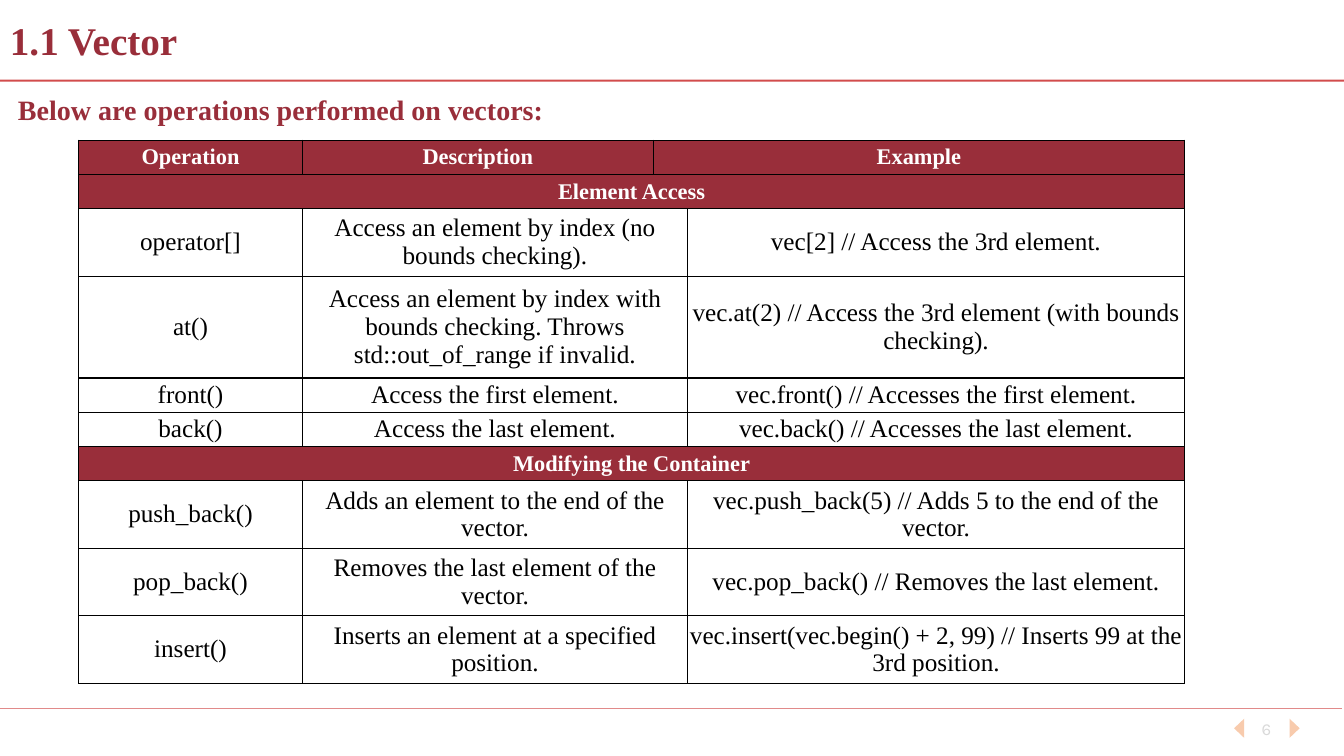
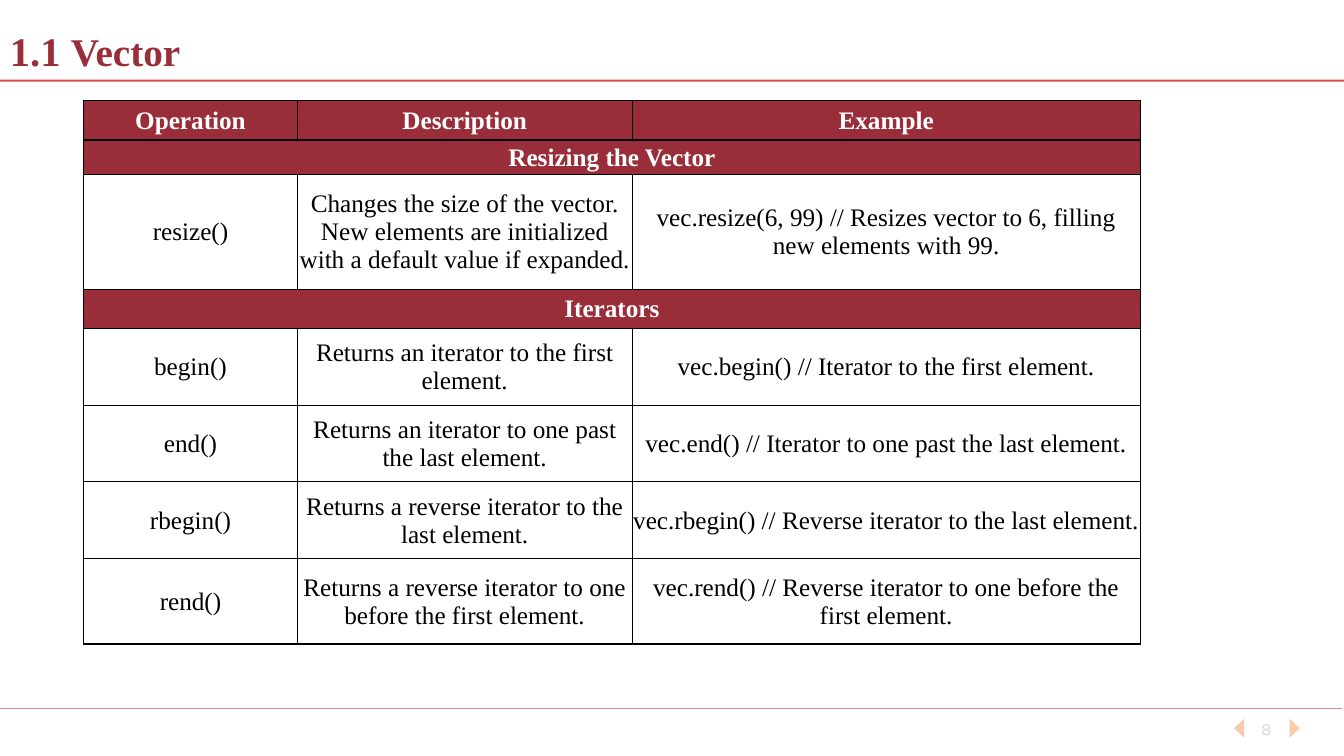
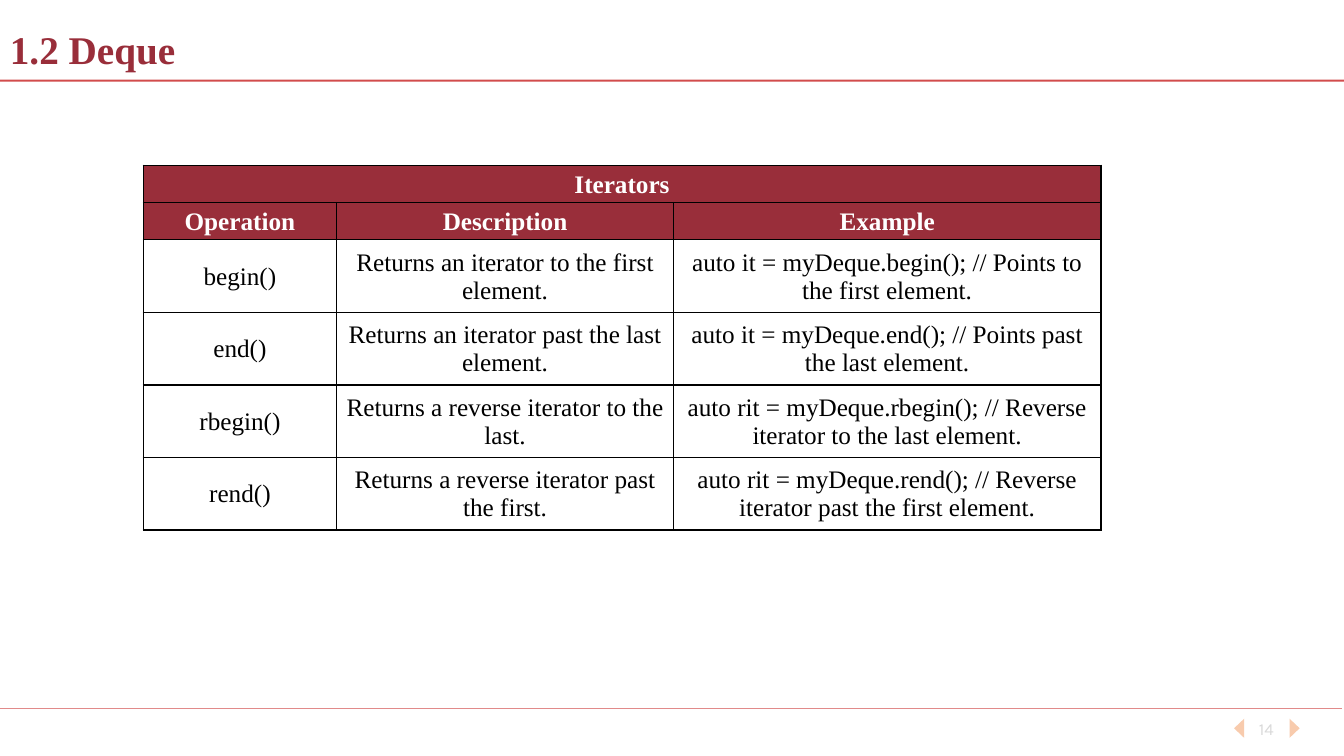
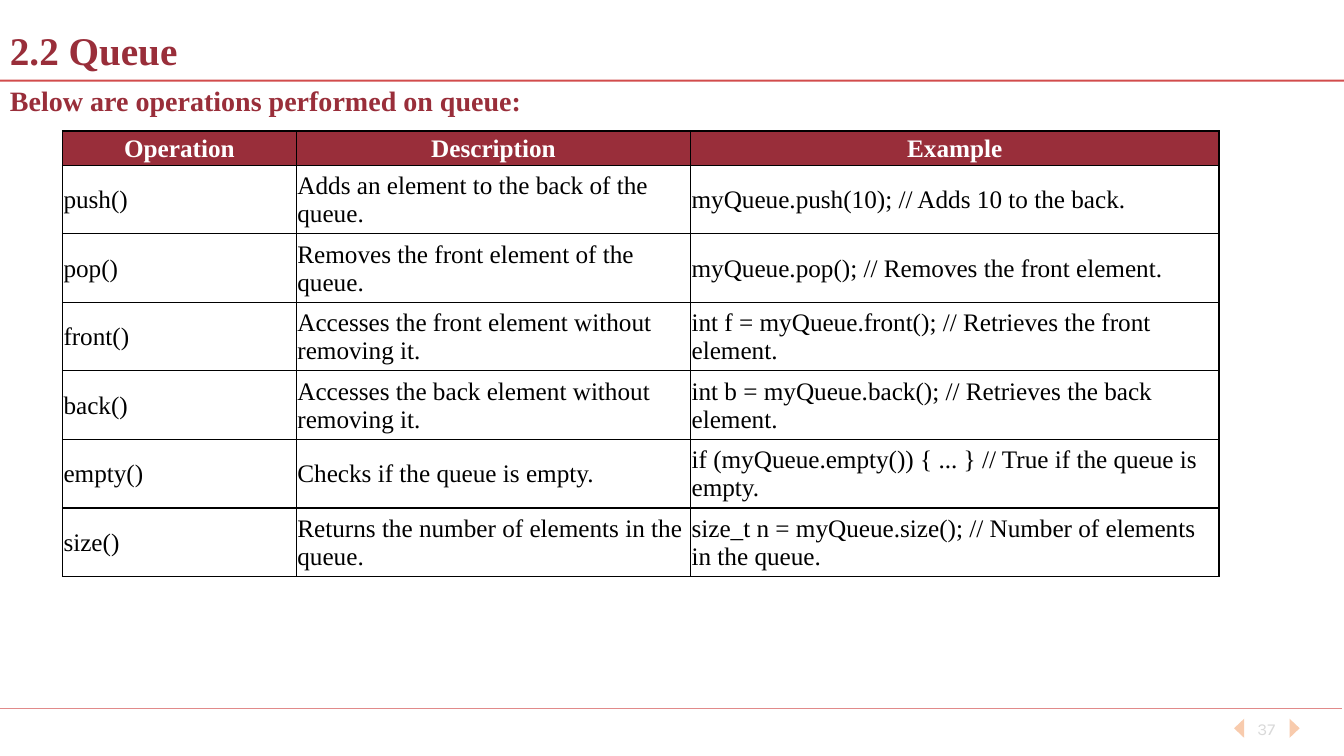
from lxml import etree
from pptx import Presentation
from pptx.dml.color import RGBColor
from pptx.enum.shapes import MSO_CONNECTOR
from pptx.enum.text import MSO_ANCHOR as ANCHOR, PP_ALIGN as ALIGN
from pptx.oxml import parse_xml
from pptx.oxml.ns import nsdecls, qn
from pptx.util import Inches, Pt

# Shared style
RED, RULE, ARROW, GREY = "992E3A", "C00000", "F8CBAD", "D9D9D9"
WHITE, BLACK = "FFFFFF", "000000"
SERIF, SANS = "Times New Roman", "Karla"
HEADINGS = ("Operation", "Description", "Example")
HEAD, BODY = "head", "body"


def rgb(value):
    return RGBColor.from_string(value)


def style(p, size, color, bold=False, name=SERIF, align=ALIGN.LEFT):
    p.alignment = align
    p.font.size, p.font.bold, p.font.name = Pt(size), bold, name
    p.font.color.rgb = rgb(color)


def add_text(s, box, text, size, color, anchor=ANCHOR.MIDDLE, **look):
    tf = s.shapes.add_textbox(*map(Inches, box)).text_frame
    tf.word_wrap, tf.vertical_anchor = True, anchor
    p = tf.paragraphs[0]
    if text:
        p.add_run().text = text
    style(p, size, color, **look)
    return p


# Frame: rules, arrows, page number
def add_rule(s, y, width, weight):
    line = s.shapes.add_connector(MSO_CONNECTOR.STRAIGHT, 0, Inches(y),
                                  Inches(width), Inches(y))
    line.line.width = Pt(weight)
    line.line.color.rgb = rgb(RULE)
    color = line.line._ln.find(".//" + qn("a:srgbClr"))
    etree.SubElement(color, qn("a:alpha"), val="70000")
    etree.SubElement(line._element.spPr, qn("a:effectLst"))


def add_arrow(s, base, tip, y=7.13, height=0.19):
    fb = s.shapes.build_freeform(Inches(base), Inches(y))
    fb.add_line_segments([(Inches(tip), Inches(y + height / 2)),
                          (Inches(base), Inches(y + height))])
    sp = fb.convert_to_shape()
    sp.shadow.inherit = False
    sp.fill.solid()
    sp.fill.fore_color.rgb = rgb(ARROW)
    sp.line.fill.background()


def new_slide(prs, page):
    s = prs.slides.add_slide(prs.slide_layouts[6])
    add_text(s, (12.28, 7.03, 0.56, 0.4), page, 12, GREY, name=SANS, align=ALIGN.CENTER)
    add_arrow(s, 12.79, 12.89)
    add_arrow(s, 12.34, 12.24)
    add_rule(s, 7.03, 13.31, 0.5)
    add_rule(s, 0.8, 13.33, 1.5)
    return s


def add_title(s, number, name, y=0.21, number_size=28):
    p = add_text(s, (0, y, 12.18, 0.57), "", 28, RED, bold=True)
    for text, size in ((number + " ", number_size), (name, 28)):
        r = p.add_run()
        r.text, r.font.size = text, Pt(size)


def add_subtitle(s, x, y, text):
    add_text(s, (x, y, 8.92, 0.44), text, 20, RED, anchor=ANCHOR.TOP, bold=True)


# Operation tables
def add_borders(cell):
    tc_pr = cell._tc.get_or_add_tcPr()
    for side in "LRTB":
        tc_pr.append(parse_xml(
            f'<a:ln{side} {nsdecls("a")} w="12700"><a:solidFill>'
            f'<a:srgbClr val="{BLACK}"/></a:solidFill></a:ln{side}>'))


def add_table(s, x, y, cols, rows, head_size=18, inset=0.01,
              body_align=ALIGN.CENTER, spans=None):
    """Rows are (height, kind, texts); a single text fills the whole row."""
    heights = [row[0] for row in rows]
    table = s.shapes.add_table(len(rows), len(cols), Inches(x), Inches(y),
                               Inches(sum(cols)), Inches(sum(heights))).table
    table.first_row = table.horz_banding = False
    for col, width in zip(table.columns, cols):
        col.width = Inches(width)
    for row, height in zip(table.rows, heights):
        row.height = Inches(height)
    for cell in table.iter_cells():
        add_borders(cell)
        cell.fill.background()
        cell.vertical_anchor = ANCHOR.MIDDLE
        cell.margin_left = cell.margin_right = cell.margin_top = Inches(inset)
        cell.margin_bottom = 0

    for i, (_, kind, texts) in enumerate(rows):
        widths = (spans or {}).get(kind, (1, 1, 1))
        if len(texts) == 1:
            widths = (len(cols),)
        j = 0
        for text, width in zip(texts, widths):
            cell = table.cell(i, j)
            if width > 1:
                cell.merge(table.cell(i, j + width - 1))
            p = cell.text_frame.paragraphs[0]
            p.add_run().text = text
            if kind == HEAD:
                for part in range(j, j + width):
                    fill = table.cell(i, part).fill
                    fill.solid()
                    fill.fore_color.rgb = rgb(RED)
                style(p, head_size, WHITE, bold=True, align=ALIGN.CENTER)
            else:
                style(p, 18, BLACK, align=body_align)
            j += width


def head(height, *texts):
    return height, HEAD, texts or HEADINGS


def body(height, *texts):
    return height, BODY, texts


# Slides
def vector_access(prs):
    s = new_slide(prs, "6")
    add_subtitle(s, 0.08, 0.87, "Below are operations performed on vectors:")
    add_table(s, 0.78, 1.39, (2.22, 3.48, 0.34, 4.93), [
        head(0.34),
        head(0.34, "Element Access"),
        body(0.67, "operator[]", "Access an element by index (no bounds checking).",
             "vec[2] // Access the 3rd element."),
        body(1.01, "at()", "Access an element by index with bounds checking. "
             "Throws std::out_of_range if invalid.",
             "vec.at(2) // Access the 3rd element (with bounds checking)."),
        body(0.34, "front()", "Access the first element.",
             "vec.front() // Accesses the first element."),
        body(0.34, "back()", "Access the last element.",
             "vec.back() // Accesses the last element."),
        head(0.34, "Modifying the Container"),
        body(0.67, "push_back()", "Adds an element to the end of the vector.",
             "vec.push_back(5) // Adds 5 to the end of the vector."),
        body(0.67, "pop_back()", "Removes the last element of the vector.",
             "vec.pop_back() // Removes the last element."),
        body(0.67, "insert()", "Inserts an element at a specified position.",
             "vec.insert(vec.begin() + 2, 99) // Inserts 99 at the 3rd position."),
    ], head_size=16, inset=0, spans={HEAD: (1, 1, 2), BODY: (1, 2, 1)})
    add_title(s, "1.1", "Vector", y=0.11)


def vector_iterators(prs):
    s = new_slide(prs, "8")
    add_title(s, "1.1", "Vector", number_size=29)
    cols = (2.12, 3.32, 5.04)
    add_table(s, 0.83, 1.39, cols, [
        head(0.34, "Resizing the Vector"),
        body(1.14, "resize()", "Changes the size of the vector. New elements are "
             "initialized with a default value if expanded.",
             "vec.resize(6, 99) // Resizes vector to 6, filling new elements with 99."),
        head(0.39, "Iterators"),
        body(0.76, "begin()", "Returns an iterator to the first element.",
             "vec.begin() // Iterator to the first element."),
        body(0.76, "end()", "Returns an iterator to one past the last element.",
             "vec.end() // Iterator to one past the last element."),
        body(0.76, "rbegin()", "Returns a reverse iterator to the last element.",
             "vec.rbegin() // Reverse iterator to the last element."),
        body(0.85, "rend()", "Returns a reverse iterator to one before the first element.",
             "vec.rend() // Reverse iterator to one before the first element."),
    ])
    add_table(s, 0.83, 1, cols, [head(0.39)], inset=0)


def deque_iterators(prs):
    s = new_slide(prs, "14")
    add_title(s, "1.2", "Deque", y=0.2)
    add_table(s, 1.42, 1.64, (1.92, 3.34, 4.24), [
        head(0.37, "Iterators"),
        head(0.37),
        body(0.72, "begin()", "Returns an iterator to the first element.",
             "auto it = myDeque.begin(); // Points to the first element."),
        body(0.72, "end()", "Returns an iterator past the last element.",
             "auto it = myDeque.end(); // Points past the last element."),
        body(0.72, "rbegin()", "Returns a reverse iterator to the last.",
             "auto rit = myDeque.rbegin(); // Reverse iterator to the last element."),
        body(0.72, "rend()", "Returns a reverse iterator past the first.",
             "auto rit = myDeque.rend(); // Reverse iterator past the first element."),
    ])


def queue_operations(prs):
    s = new_slide(prs, "37")
    add_title(s, "2.2", "Queue")
    operations = [
        ("push()", "Adds an element to the back of the queue.",
         "myQueue.push(10); // Adds 10 to the back."),
        ("pop()", "Removes the front element of the queue.",
         "myQueue.pop(); // Removes the front element."),
        ("front()", "Accesses the front element without removing it.",
         "int f = myQueue.front(); // Retrieves the front element."),
        ("back()", "Accesses the back element without removing it.",
         "int b = myQueue.back(); // Retrieves the back element."),
        ("empty()", "Checks if the queue is empty.",
         "if (myQueue.empty()) { ... } // True if the queue is empty."),
        ("size()", "Returns the number of elements in the queue.",
         "size_t n = myQueue.size(); // Number of elements in the queue."),
    ]
    add_table(s, 0.62, 1.3, (2.32, 3.91, 5.24),
              [head(0.34)] + [body(0.68, *texts) for texts in operations],
              body_align=ALIGN.LEFT)
    add_subtitle(s, 0, 0.78, "Below are operations performed on queue:")


def main():
    prs = Presentation()
    prs.slide_width, prs.slide_height = Inches(13.33), Inches(7.5)
    for build in (vector_access, vector_iterators, deque_iterators, queue_operations):
        build(prs)
    prs.save("out.pptx")


if __name__ == "__main__":
    main()
